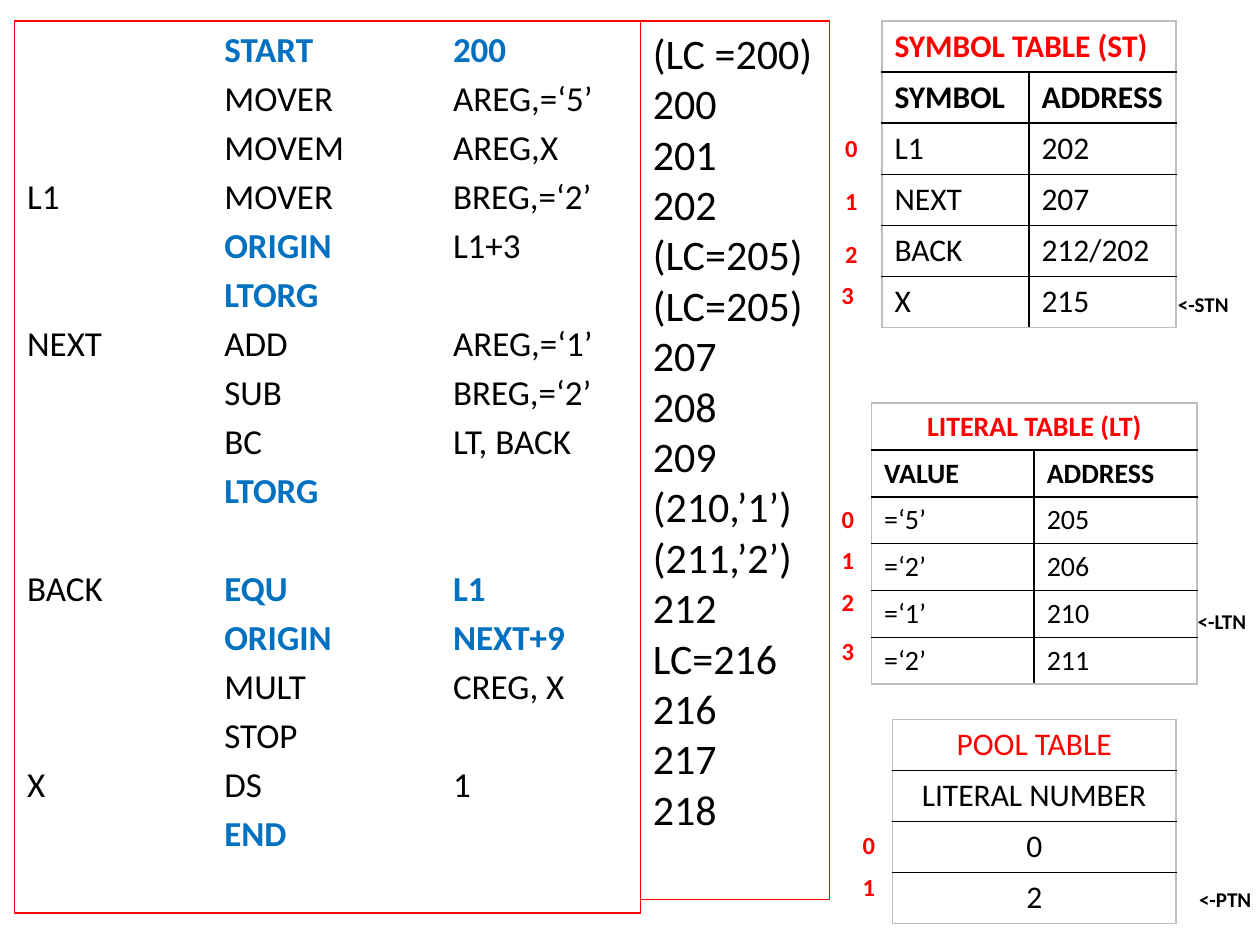
from dataclasses import dataclass

from lxml import etree
from pptx import Presentation
from pptx.dml.color import RGBColor
from pptx.enum.shapes import MSO_SHAPE
from pptx.enum.text import MSO_ANCHOR, PP_ALIGN
from pptx.oxml.ns import qn
from pptx.util import Inches, Pt

RECT = MSO_SHAPE.RECTANGLE
TOP = MSO_ANCHOR.TOP
LEFT, CENTER = PP_ALIGN.LEFT, PP_ALIGN.CENTER


@dataclass(frozen=True)
class Theme:
    font: str = "Calibri"
    text: str = "000000"
    accent: str = "FF0000"
    directive: str = "0070C0"
    outer: str = "BFBFBF"
    code: int = 20
    counter: int = 24
    index: int = 14
    pointer: int = 12
    frame: float = 0.75
    grid: int = 1


T = Theme()

# The slide is a grid of 100 columns by 75 rows.
prs = Presentation()
prs.slide_width, prs.slide_height = Inches(10), Inches(7.5)
COL, ROW = prs.slide_width / 100, prs.slide_height / 75

# Label, operation, operand, number of highlighted fields from the operation on.
PROGRAM = [
    ("", "START", "200", 2),
    ("", "MOVER", "AREG,=‘5’", 0),
    ("", "MOVEM", "AREG,X", 0),
    ("L1", "MOVER", "BREG,=‘2’", 0),
    ("", "ORIGIN", "L1+3", 1),
    ("", "LTORG", "", 1),
    ("NEXT", "ADD", "AREG,=‘1’", 0),
    ("", "SUB", "BREG,=‘2’", 0),
    ("", "BC", "LT, BACK", 0),
    ("", "LTORG", "", 1),
    ("BACK", "EQU", "L1", 2),
    ("", "ORIGIN", "NEXT+9", 2),
    ("", "MULT", "CREG, X", 0),
    ("", "STOP", "", 0),
    ("X", "DS", "1", 0),
    ("", "END", "", 1),
]
SECOND_BLOCK = 10  # line that follows the gap in the program
TAB_COLS = (15.65, 33.8)

COUNTERS = ["(LC =200)", "200", "201", "202", "(LC=205)", "(LC=205)", "207", "208",
            "209", "(210,’1’)", "(211,’2’)", "212", "LC=216", "216", "217", "218"]

SYMBOLS = [["SYMBOL TABLE (ST)", ""], ["SYMBOL", "ADDRESS"], ["L1", "202"],
           ["NEXT", "207"], ["BACK", "212/202"], ["X", "215"]]
LITERALS = [["LITERAL TABLE (LT)", ""], ["VALUE", "ADDRESS"], ["=‘5’", "205"],
            ["=‘2’", "206"], ["=‘1’", "210"], ["=‘2’", "211"]]
POOLS = [["POOL TABLE"], ["LITERAL NUMBER"], ["0"], ["2"]]


def place(col, row, cols, rows):
    return round(col * COL), round(row * ROW), round(cols * COL), round(rows * ROW)


def add_run(p, text, size, color=T.text, bold=False):
    r = p.add_run()
    r.text = text
    f = r.font
    f.name, f.size, f.bold = T.font, Pt(size), bold
    f.color.rgb = RGBColor.from_string(color)


def add_frame(s, box):
    """Add a red outlined panel and return its text frame."""
    sp = s.shapes.add_shape(RECT, *place(*box))
    sp.shadow.inherit = False
    sp.fill.background()
    sp.line.color.rgb = RGBColor.from_string(T.accent)
    sp.line.width = Pt(T.frame)
    tf = sp.text_frame
    tf.word_wrap = True
    tf.vertical_anchor = TOP
    return tf


def add_line(tf, number):
    p = tf.add_paragraph() if number else tf.paragraphs[0]
    p.alignment = LEFT
    return p


def set_tabs(p):
    tabs = etree.SubElement(p._p.get_or_add_pPr(), qn("a:tabLst"))
    for col in TAB_COLS:
        etree.SubElement(tabs, qn("a:tab"), pos=str(round(col * COL)), algn="l")


def add_program(s, box):
    tf = add_frame(s, box)
    gap = 0.2 * T.code
    for i, (label, operation, operand, marked) in enumerate(PROGRAM):
        p = add_line(tf, i)
        set_tabs(p)
        if i:
            p.space_before = Pt(32 if i == SECOND_BLOCK else gap)
        add_run(p, label + "\t", T.code)
        for field, text in enumerate((operation, operand)):
            if text:
                on = field < marked
                add_run(p, "\t" * field + text, T.code, T.directive if on else T.text, on)


def add_counters(s, box):
    tf = add_frame(s, box)
    for i, text in enumerate(COUNTERS):
        add_run(add_line(tf, i), text, T.counter)


def add_label(s, box, text, size, color):
    """Add a one-line label; without a right inset the line has room to spare."""
    tf = s.shapes.add_textbox(*place(*box)).text_frame
    tf.word_wrap = True
    tf.margin_right = 0
    add_run(tf.paragraphs[0], text, size, color, True)


def set_borders(cell, outer):
    """Draw the four edges; those named in outer get the lighter colour."""
    tcPr = cell._tc.get_or_add_tcPr()
    for edge in "LRTB":
        ln = etree.SubElement(tcPr, qn("a:ln" + edge), w=str(Pt(T.grid)))
        fill = etree.SubElement(ln, qn("a:solidFill"))
        etree.SubElement(fill, qn("a:srgbClr"), val=T.outer if edge in outer else T.text)
    cell.fill.background()


def add_lookup(s, box, rows, size, head_rows, centred, indexes, pointer):
    """Add a table with its index labels and end pointer, offset from the box corner."""
    n, m = len(rows), len(rows[0])
    table = s.shapes.add_table(n, m, *place(*box)).table
    table.first_row = table.horz_banding = False
    for row in table.rows:
        row.height = round(box[3] * ROW / n)
    for i, values in enumerate(rows):
        for j, text in enumerate(values):
            cell = table.cell(i, j)
            edges = {"L": j == 0, "R": j == m - 1 or (m > 1 and i == 0),
                     "T": i == 0, "B": i == n - 1}
            set_borders(cell, [e for e, outside in edges.items() if outside])
            if text:
                p = cell.text_frame.paragraphs[0]
                p.alignment = CENTER if i < centred else LEFT
                add_run(p, text, size, T.accent if i == 0 else T.text, i < head_rows)
    if m > 1:
        table.cell(0, 0).merge(table.cell(0, m - 1))
    left, top = box[:2]
    for k, (dx, dy) in enumerate(indexes):
        add_label(s, (left + dx, top + dy, 3, 3.4), str(k), T.index, T.accent)
    text, dx, dy = pointer
    add_label(s, (left + dx, top + dy, 5.8, 3), text, T.pointer, T.text)


def main():
    s = prs.slides.add_slide(prs.slide_layouts[6])
    add_program(s, (1.17, 1.67, 49.65, 70.8))
    add_counters(s, (50.83, 1.67, 15, 69.7))
    add_lookup(s, (70, 1.67, 23.33, 24.33), SYMBOLS, 18, 2, 0,
               [(-3.9, 8.4), (-3.9, 12.6), (-3.9, 16.8), (-4.2, 20.1)],
               ("<-STN", 22.5, 21))
    add_lookup(s, (69.17, 32, 25.83, 22.3), LITERALS, 16, 2, 1,
               [(-3.35, 7.5), (-3.35, 10.8), (-3.35, 14.1), (-3.35, 18)],
               ("<-LTN", 24.9, 15.8))
    add_lookup(s, (70.83, 57.1, 22.5, 16.22), POOLS, 18, 0, 4,
               [(-3.35, 8.3), (-3.35, 11.6)],
               ("<-PTN", 23.35, 12.8))
    prs.save("out.pptx")


if __name__ == "__main__":
    main()
